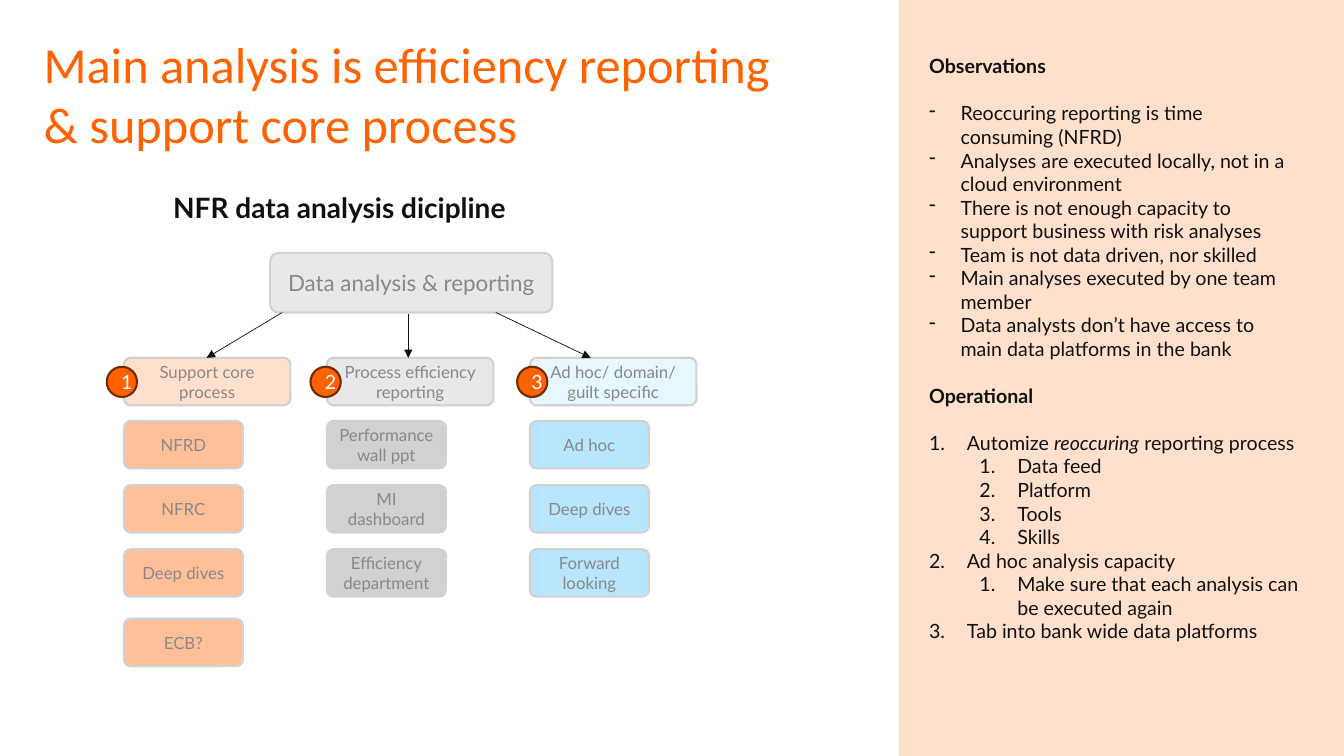
from dataclasses import dataclass

from lxml.etree import SubElement
from pptx import Presentation
from pptx.dml.color import RGBColor
from pptx.enum.shapes import MSO_CONNECTOR, MSO_SHAPE
from pptx.enum.text import MSO_ANCHOR, MSO_AUTO_SIZE, PP_ALIGN
from pptx.oxml.ns import qn
from pptx.shapes.autoshape import Shape
from pptx.slide import Slide
from pptx.text.text import TextFrame
from pptx.util import Pt

ORANGE = RGBColor(0xFF, 0x62, 0x00)
DARK_ORANGE = RGBColor(0x70, 0x2B, 0x00)
MID_ORANGE = RGBColor(0xFF, 0xC0, 0x99)
PALE_ORANGE = RGBColor(0xFF, 0xE0, 0xCC)
MID_GREY = RGBColor(0xD1, 0xD1, 0xD1)
PALE_GREY = RGBColor(0xE8, 0xE8, 0xE8)
TEXT_GREY = RGBColor(0x88, 0x88, 0x88)
MID_BLUE = RGBColor(0xB8, 0xE6, 0xFE)
PALE_BLUE = RGBColor(0xE7, 0xF7, 0xFF)
BLACK = RGBColor(0x10, 0x10, 0x10)
WHITE = RGBColor(0xFF, 0xFF, 0xFF)

BODY_FONT = "Lato"
COLUMN_LEFT, COLUMN_PITCH = 88.5, 145
HEADER_TOP, NODE_HEIGHT = 255.6, 33.9
HEADER_WIDTH, ITEM_WIDTH = 119, 85
ITEM_TOPS = (300.7, 346.5, 392.3, 442)
BADGE_TOP, BADGE_SIZE = 262, 21.6


@dataclass(frozen=True)
class Box:
    left: float
    top: float
    width: float
    height: float

    def lengths(self) -> tuple[Pt, Pt, Pt, Pt]:
        return Pt(self.left), Pt(self.top), Pt(self.width), Pt(self.height)


@dataclass(frozen=True)
class Column:
    header: str
    items: tuple[str, ...]
    header_fill: RGBColor
    item_fill: RGBColor
    badge_left: float


@dataclass(frozen=True)
class Arrow:
    start: tuple[float, float]
    end: tuple[float, float]


@dataclass(frozen=True)
class ListStyle:
    bullet_tag: str
    bullet_attribute: str
    bullet_value: str
    margin: float
    hanging: float
    level: int = 0


@dataclass(frozen=True)
class Line:
    """One sidebar paragraph; a line without a style is a bold heading."""
    text: str
    style: ListStyle | None = None
    emphasis: str = ""


COLUMNS = (
    Column("Support core process", ("NFRD", "NFRC", "Deep dives", "ECB?"),
           PALE_ORANGE, MID_ORANGE, 76.3),
    Column("Process efficiency reporting",
           ("Performance wall ppt", "MI dashboard", "Efficiency department"),
           PALE_GREY, MID_GREY, 221.8),
    Column("Ad hoc/ domain/ guilt specific", ("Ad hoc", "Deep dives", "Forward looking"),
           PALE_BLUE, MID_BLUE, 369.4),
)

ARROWS = (
    Arrow((201.6, 223.2), (147.6, HEADER_TOP)),
    Arrow((354.2, 223.2), (421.9, HEADER_TOP)),
    Arrow((291.6, 224.6), (291.6, HEADER_TOP)),
)

DASH = ListStyle("a:buChar", "char", "-", 22.5, 22.5)
NUMBER = ListStyle("a:buAutoNum", "type", "arabicPeriod", 27, 27)
SUBNUMBER = ListStyle("a:buAutoNum", "type", "arabicPeriod", 63, 27, 1)

SIDEBAR_LINES = (
    Line("Observations"),
    Line("Reoccuring reporting is time consuming (NFRD)", DASH),
    Line("Analyses are executed locally, not in a cloud environment", DASH),
    Line("There is not enough capacity to support business with risk analyses", DASH),
    Line("Team is not data driven, nor skilled", DASH),
    Line("Main analyses executed by one team member", DASH),
    Line("Data analysts don’t have access to main data platforms in the bank", DASH),
    Line("Operational"),
    Line("Automize reoccuring reporting process", NUMBER, "reoccuring"),
    Line("Data feed", SUBNUMBER),
    Line("Platform", SUBNUMBER),
    Line("Tools", SUBNUMBER),
    Line("Skills", SUBNUMBER),
    Line("Ad hoc analysis capacity", NUMBER),
    Line("Make sure that each analysis can be executed again", SUBNUMBER),
    Line("Tab into bank wide data platforms", NUMBER),
)


def set_text(frame: TextFrame, text: str, size: float, color: RGBColor,
             name: str = BODY_FONT, bold: bool = False) -> None:
    frame.word_wrap = True
    para = frame.paragraphs[0]
    para.text = text
    font = para.font
    font.name, font.size, font.bold = name, Pt(size), bold
    font.color.rgb = color


def add_shape(page: Slide, kind: MSO_SHAPE, box: Box, fill: RGBColor,
              outline: RGBColor | None = None) -> Shape:
    shape = page.shapes.add_shape(kind, *box.lengths())
    shape.shadow.inherit = False
    shape.fill.solid()
    shape.fill.fore_color.rgb = fill
    if outline is None:
        shape.line.fill.background()
    else:
        shape.line.color.rgb = outline
        shape.line.width = Pt(1.5)
    return shape


def center_text(shape: Shape, text: str, size: float, color: RGBColor) -> None:
    set_text(shape.text_frame, text, size, color)
    shape.text_frame.vertical_anchor = MSO_ANCHOR.MIDDLE
    shape.text_frame.paragraphs[0].alignment = PP_ALIGN.CENTER


def add_node(page: Slide, box: Box, text: str, fill: RGBColor, size: float = 12) -> None:
    node = add_shape(page, MSO_SHAPE.ROUNDED_RECTANGLE, box, fill, MID_GREY)
    node.adjustments[0] = 0.14
    center_text(node, text, size, TEXT_GREY)


def add_column(page: Slide, index: int, column: Column) -> None:
    left = COLUMN_LEFT + index * COLUMN_PITCH
    add_node(page, Box(left, HEADER_TOP, HEADER_WIDTH, NODE_HEIGHT),
             column.header, column.header_fill)
    for top, item in zip(ITEM_TOPS, column.items):
        add_node(page, Box(left, top, ITEM_WIDTH, NODE_HEIGHT), item, column.item_fill)
    badge = add_shape(page, MSO_SHAPE.OVAL,
                      Box(column.badge_left, BADGE_TOP, BADGE_SIZE, BADGE_SIZE),
                      ORANGE, DARK_ORANGE)
    center_text(badge, str(index + 1), 14, WHITE)


def add_arrow(page: Slide, arrow: Arrow) -> None:
    connector = page.shapes.add_connector(
        MSO_CONNECTOR.STRAIGHT, *(Pt(value) for value in arrow.start + arrow.end))
    connector.line.color.rgb = BLACK
    connector.line.width = Pt(0.5)
    SubElement(connector.line._get_or_add_ln(), qn("a:tailEnd"), type="triangle")
    SubElement(connector._element.spPr, qn("a:effectLst"))


def add_sidebar(page: Slide) -> None:
    add_shape(page, MSO_SHAPE.RECTANGLE, Box(642, 0, 318, 540), PALE_ORANGE)
    frame = page.shapes.add_textbox(*Box(656.6, 35.3, 278.6, 448.6).lengths()).text_frame
    frame.word_wrap = True
    frame.auto_size = MSO_AUTO_SIZE.SHAPE_TO_FIT_TEXT
    for index, line in enumerate(SIDEBAR_LINES):
        para = frame.add_paragraph() if index else frame.paragraphs[0]
        para.font.name, para.font.size = BODY_FONT, Pt(14)
        para.font.color.rgb = BLACK
        parts = line.text.partition(line.emphasis) if line.emphasis else (line.text,)
        for part in parts:
            span = para.add_run()
            span.text = part
            if part == line.emphasis:
                span.font.italic = True
        style = line.style
        if style is None:
            para.font.bold = True
            para.space_before = Pt(16.8 if index else 0)
            para.space_after = Pt(16.8)
            continue
        para.level = style.level
        properties = para._p.get_or_add_pPr()
        properties.set("marL", str(Pt(style.margin)))
        properties.set("indent", str(-Pt(style.hanging)))
        bullet = properties.makeelement(qn(style.bullet_tag),
                                        {style.bullet_attribute: style.bullet_value})
        properties.find(qn("a:defRPr")).addprevious(bullet)


def main() -> None:
    deck = Presentation()
    deck.slide_width, deck.slide_height = Pt(960), Pt(540)
    page = deck.slides.add_slide(deck.slide_layouts[6])

    title = page.shapes.add_textbox(*Box(24, 20, 536, 138).lengths())
    set_text(title.text_frame, "Main analysis is efficiency reporting & support core process",
             36, ORANGE, "Calibri")
    subtitle = page.shapes.add_textbox(*Box(116.6, 134, 407, 30).lengths())
    set_text(subtitle.text_frame, "NFR data analysis dicipline", 20, BLACK, bold=True)
    subtitle.text_frame.vertical_anchor = MSO_ANCHOR.BOTTOM

    add_node(page, Box(193, 180.7, 201.6, 42.5), "Data analysis & reporting", PALE_GREY, 16)
    for index, column in enumerate(COLUMNS):
        add_column(page, index, column)
    for arrow in ARROWS:
        add_arrow(page, arrow)
    add_sidebar(page)
    deck.save("out.pptx")


if __name__ == "__main__":
    main()
